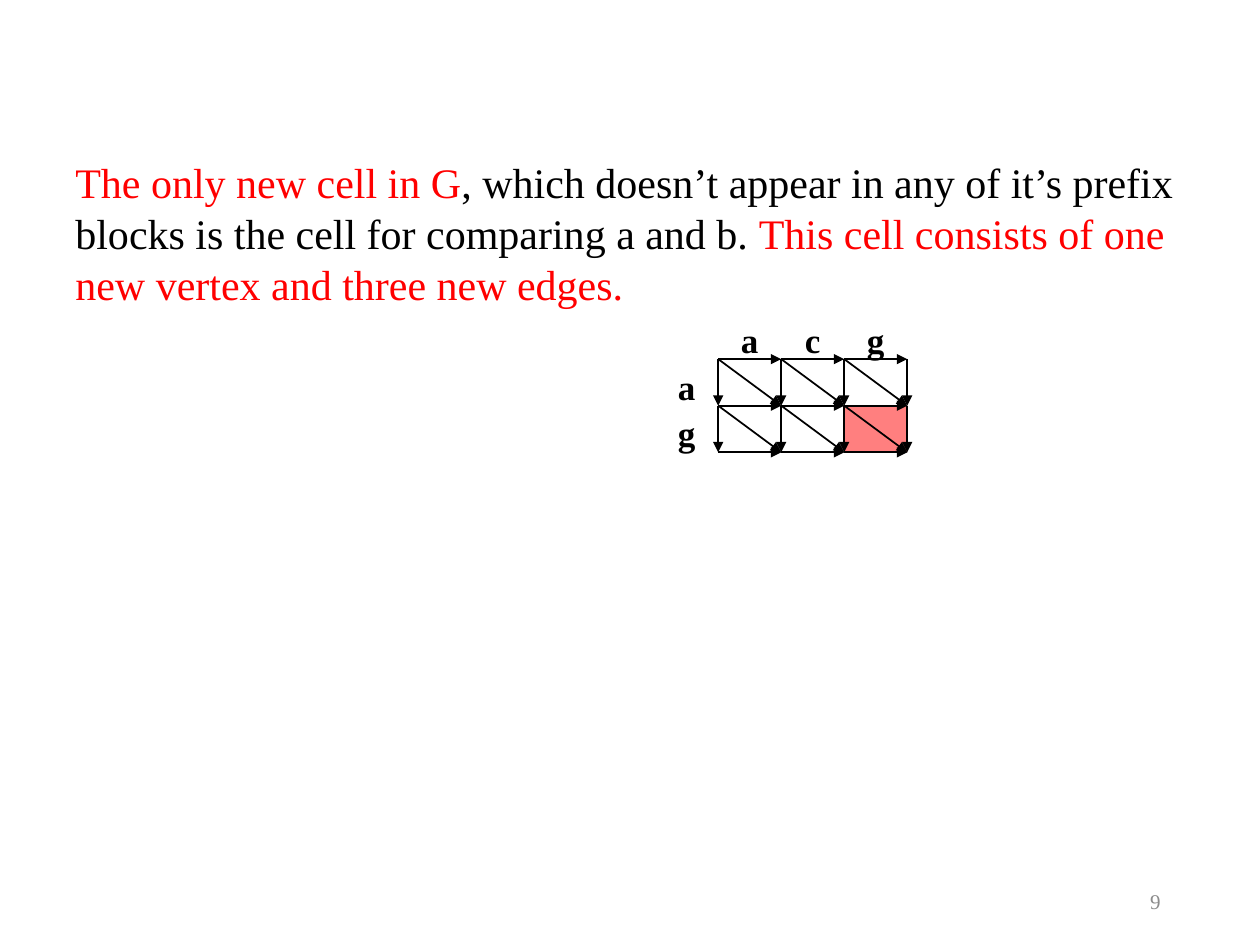
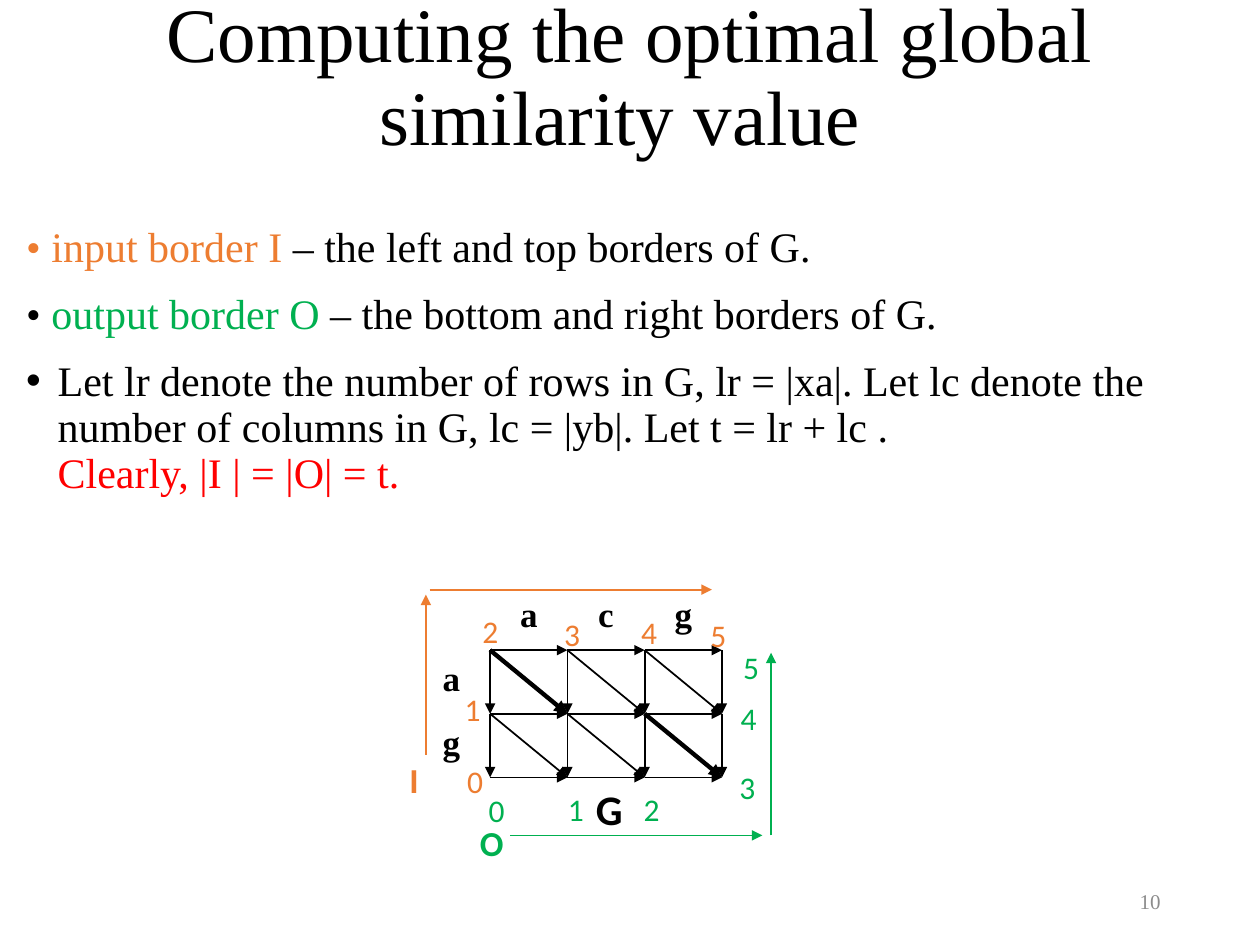
from lxml import etree
from pptx import Presentation
from pptx.dml.color import RGBColor
from pptx.enum.shapes import MSO_CONNECTOR, MSO_SHAPE
from pptx.enum.text import MSO_ANCHOR, PP_ALIGN as ALIGN
from pptx.oxml.ns import qn
from pptx.util import Inches, Pt

COLORS = {
    "black": "000000",
    "red": "FF0000",
    "input": "ED7D31",
    "output": "00B050",
    "number": "8C8C8C",
}
SERIF = "Times New Roman"
SANS = "Calibri"


def add_text(page, area, paragraphs, size, font=SERIF, bold=False,
             align=ALIGN.LEFT, anchor=MSO_ANCHOR.TOP, spacing=None):
    box = page.shapes.add_textbox(*[Inches(value) for value in area])
    frame = box.text_frame
    frame.word_wrap = True
    frame.vertical_anchor = anchor
    for index, pieces in enumerate(paragraphs):
        para = frame.paragraphs[0] if index == 0 else frame.add_paragraph()
        para.alignment = align
        if spacing:
            para.line_spacing = Pt(spacing)
        if index:
            para.space_before = Pt(size / 2)
        for words, color in pieces:
            if words == "\n":
                para.add_line_break()
                continue
            span = para.add_run()
            span.text = words
            span.font.name = font
            span.font.size = Pt(size)
            span.font.bold = bold
            span.font.color.rgb = RGBColor.from_string(COLORS[color])
    return box


def add_arrow(page, start, end, color="black", width=1):
    points = [Inches(value) for value in (*start, *end)]
    arrow = page.shapes.add_connector(MSO_CONNECTOR.STRAIGHT, *points)
    arrow.line.color.rgb = RGBColor.from_string(COLORS[color])
    arrow.line.width = Pt(width)
    head = etree.SubElement(arrow.line._get_or_add_ln(), qn("a:tailEnd"))
    head.set("type", "triangle")
    etree.SubElement(arrow._element.spPr, qn("a:effectLst"))


deck = Presentation()
deck.slide_width = Inches(10)
deck.slide_height = Inches(7.5)
blank = deck.slide_layouts[6]
cell_page = deck.slides.add_slide(blank)
border_page = deck.slides.add_slide(blank)

for page, number in ((cell_page, "9"), (border_page, "10")):
    add_text(page, (7.06, 6.95, 2.25, 0.4), [[(number, "number")]], 12,
             align=ALIGN.RIGHT, anchor=MSO_ANCHOR.MIDDLE)

add_text(cell_page, (0.5, 1.19, 9.16, 1.32), [[
    ("The only new cell in G", "red"),
    (", which doesn’t appear in any of it’s prefix blocks is the cell for "
     "comparing a and b. ", "black"),
    ("This cell consists of one new vertex and three new edges.", "red"),
]], 24, spacing=29)

new_cell = cell_page.shapes.add_shape(
    MSO_SHAPE.RECTANGLE, Inches(6.7), Inches(3.22), Inches(0.5), Inches(0.37))
new_cell.shadow.inherit = False
new_cell.line.fill.background()
new_cell.fill.solid()
new_cell.fill.fore_color.rgb = RGBColor.from_string(COLORS["red"])
red_fill = new_cell._element.spPr.find(qn("a:solidFill"))[0]
etree.SubElement(red_fill, qn("a:alpha")).set("val", "50000")

add_text(border_page, (0.69, -0.11, 8.62, 1.45),
         [[("Computing the optimal global similarity value ", "black")]], 44,
         align=ALIGN.CENTER, anchor=MSO_ANCHOR.MIDDLE, spacing=47.5)

body = add_text(border_page, (0.11, 1.74, 9.53, 4.76), [
    [("• input border I ", "input"),
     ("– the left and top borders of G.", "black")],
    [("• ", "black"), ("output border O ", "output"),
     ("– the bottom and right borders of G.", "black")],
    [("Let lr denote the number of rows in G, lr = |xa|. Let lc denote the "
      "number of columns in G, lc = |yb|. Let t = lr + lc .", "black"),
     ("\n", "black"), ("Clearly, |I | = |O| = t.", "red")],
], 24, spacing=26.25)
settings = body.text_frame.paragraphs[2]._p.get_or_add_pPr()
settings.set("marL", str(Inches(0.25)))
settings.set("indent", str(Inches(-0.25)))
etree.SubElement(settings, qn("a:buFont")).set("typeface", "Arial")
etree.SubElement(settings, qn("a:buChar")).set("char", "•")

TOP_LETTERS = "acg"
SIDE_LETTERS = "ag"
grids = (
    (cell_page, 5.7, 2.85, 7.2, 3.59, ()),
    (border_page, 3.89, 5.16, 5.73, 6.17, ((0, 0), (1, 2))),
)
for page, left, top, right, bottom, matches in grids:
    columns, rows = len(TOP_LETTERS), len(SIDE_LETTERS)
    width, height = (right - left) / columns, (bottom - top) / rows
    labels = [(column, -1, letter) for column, letter in enumerate(TOP_LETTERS)]
    labels += [(-1, row, letter) for row, letter in enumerate(SIDE_LETTERS)]
    for column, row, letter in labels:
        area = (left + column * width, top + row * height, width, height)
        add_text(page, area, [[(letter, "black")]], 20, bold=True,
                 align=ALIGN.CENTER)
    for row in range(rows + 1):
        for column in range(columns + 1):
            x, y = left + column * width, top + row * height
            if column < columns:
                add_arrow(page, (x, y), (x + width, y))
            if row < rows:
                add_arrow(page, (x, y), (x, y + height))
            if column < columns and row < rows:
                weight = 2.5 if (row, column) in matches else 1
                add_arrow(page, (x, y), (x + width, y + height), width=weight)

border_indexes = {
    "input": ((3.61, 6), (3.59, 5.43), (3.73, 4.81),
              (4.38, 4.83), (4.99, 4.82), (5.54, 4.84)),
    "output": ((3.78, 6.23), (4.41, 6.22), (5.01, 6.22),
               (5.77, 6.05), (5.78, 5.5), (5.8, 5.09)),
}
for color, places in border_indexes.items():
    for index, (x, y) in enumerate(places):
        add_text(border_page, (x, y, 0.3, 0.4), [[(str(index), color)]], 18, SANS)

for name, color, size, x, y in (
    ("G", "black", 24, 4.63, 6.17),
    ("I", "input", 20, 3.15, 5.97),
    ("O", "output", 20, 3.71, 6.47),
):
    add_text(border_page, (x, y, 0.45, 0.46), [[(name, color)]], size, SANS, True)

for start, end, color in (
    ((3.38, 5.99), (3.38, 4.72), "input"),
    ((3.41, 4.68), (5.65, 4.68), "input"),
    ((4.05, 6.63), (6.05, 6.63), "output"),
    ((6.12, 6.63), (6.12, 5.18), "output"),
):
    add_arrow(border_page, start, end, color)

deck.save("out.pptx")
